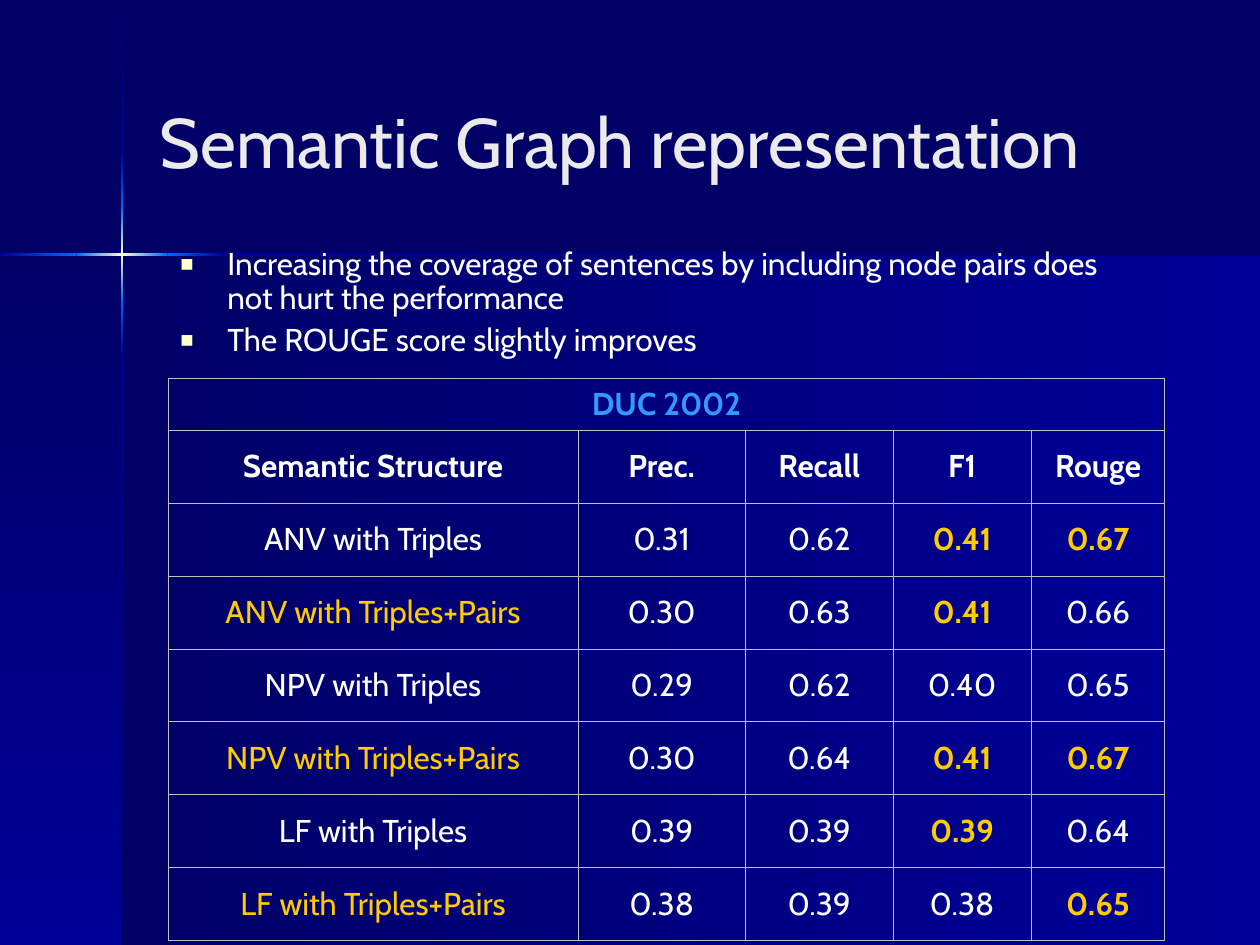
from lxml import etree
from pptx import Presentation
from pptx.dml.color import RGBColor
from pptx.enum.shapes import MSO_SHAPE
from pptx.enum.text import MSO_ANCHOR, MSO_AUTO_SIZE, PP_ALIGN
from pptx.oxml.ns import qn
from pptx.util import Cm, Pt

RECTANGLE = MSO_SHAPE.RECTANGLE
MIDDLE, TOP = MSO_ANCHOR.MIDDLE, MSO_ANCHOR.TOP
LEFT, CENTER = PP_ALIGN.LEFT, PP_ALIGN.CENTER
NO_AUTOFIT = MSO_AUTO_SIZE.NONE

COLORS = {
    "night": "000066", "royal": "000099", "azure": "0066FF", "glow": "FFFFCC",
    "title": "EAEAEA", "text": "FFFFFF", "heading": "3399FF", "accent": "FFCC00",
    "grid": "C0C0C0",
}
FONT = "Cabin"
PAGE_WIDTH, PAGE_HEIGHT = 25.4, 19.05
CROSS_X, CROSS_Y, BEAM_WIDTH = 2.46, 5.13, 0.05

TITLE = "Semantic Graph representation"
BULLETS = [
    "Increasing the coverage of sentences by including node pairs does "
    "not hurt the performance",
    "The ROUGE score slightly improves",
]
TABLE_TITLE = "DUC 2002"
HEADERS = ["Semantic Structure", "Prec.", "Recall", "F1", "Rouge"]
RESULTS = [
    ["ANV with Triples", "0.31", "0.62", "0.41", "0.67"],
    ["ANV with Triples+Pairs", "0.30", "0.63", "0.41", "0.66"],
    ["NPV with Triples", "0.29", "0.62", "0.40", "0.65"],
    ["NPV with Triples+Pairs", "0.30", "0.64", "0.41", "0.67"],
    ["LF with Triples", "0.39", "0.39", "0.39", "0.64"],
    ["LF with Triples+Pairs", "0.38", "0.39", "0.38", "0.65"],
]
COLUMN_WIDTHS = [8.26, 3.38, 2.97, 2.79, 2.69]
TITLE_ROW, ROW = 1.05, 1.47


def rgb(name):
    """Return the named palette colour."""
    return RGBColor.from_string(COLORS[name])


def add_color(parent, name):
    """Append a palette colour element to an XML parent."""
    etree.SubElement(parent, qn("a:srgbClr"), val=COLORS[name])


def set_attributes(target, values):
    """Set each attribute in a dict of format values."""
    for name, value in values.items():
        setattr(target, name, value)


def format_font(font, size, color, bold=False):
    """Apply the slide font with a size, colour and weight."""
    set_attributes(font, {"name": FONT, "size": Pt(size), "bold": bold})
    font.color.rgb = rgb(color)


def place(shape, box):
    """Move a shape to a box given in centimetres."""
    values = zip(("left", "top", "width", "height"), map(Cm, box))
    set_attributes(shape, dict(values))


def add_gradient(page, box, colors, angle):
    """Add a rectangle with evenly spaced gradient colours."""
    panel = page.shapes.add_shape(RECTANGLE, *map(Cm, box))
    panel.shadow.inherit = False
    panel.line.fill.background()
    panel.fill.gradient()
    gradient = panel.element.spPr.find(qn("a:gradFill"))
    stops = gradient.find(qn("a:gsLst"))
    for stop in list(stops):
        stops.remove(stop)
    for index, name in enumerate(colors):
        position = 100000 * index // (len(colors) - 1)
        add_color(etree.SubElement(stops, qn("a:gs"), pos=str(position)), name)
    gradient.find(qn("a:lin")).set("ang", str(angle * 60000))


def add_backdrop(page, box):
    """Add the two lower panels and the glowing cross."""
    left, top, width, height = box
    panel_height = height - CROSS_Y
    add_gradient(page, (left + CROSS_X, top + CROSS_Y, width - CROSS_X, panel_height),
                 ["night", "royal"], 0)
    add_gradient(page, (left, top + CROSS_Y, CROSS_X, panel_height),
                 ["night", "royal"], 90)
    segments = [["night", "royal"], ["royal", "azure"], ["azure", "glow", "azure"],
                ["azure", "royal"], ["royal", "night"]]
    rows = [0.03, 3.07, 4.19, 6.05, 7.16, height]
    for start, end, colors in zip(rows, rows[1:], segments):
        beam = (left + CROSS_X - BEAM_WIDTH / 2, top + start, BEAM_WIDTH, end - start)
        add_gradient(page, beam, colors, 90)
    columns = [0, 1.54, 3.38, 4.5, width]
    for start, end, colors in zip(columns, columns[1:], segments[1:]):
        beam = (left + start, top + CROSS_Y - BEAM_WIDTH / 2, end - start, BEAM_WIDTH)
        add_gradient(page, beam, colors, 0)


def fill_title(title, box):
    """Place and format the title placeholder."""
    place(title, box)
    frame = title.text_frame
    set_attributes(frame, {"text": TITLE, "word_wrap": True, "auto_size": NO_AUTOFIT,
                           "vertical_anchor": MIDDLE})
    para = frame.paragraphs[0]
    para.alignment = LEFT
    format_font(para.font, 40, "title")


def add_bullet(para):
    """Give a paragraph a small square bullet with a hanging indent."""
    properties = para._p.get_or_add_pPr()
    properties.set("marL", str(Cm(0.95)))
    properties.set("indent", str(-Cm(0.95)))
    add_color(etree.SubElement(properties, qn("a:buClr")), "glow")
    etree.SubElement(properties, qn("a:buSzPct"), val="70000")
    etree.SubElement(properties, qn("a:buChar"), char="■")


def fill_bullets(body, box):
    """Place the body placeholder and write its bullet list."""
    place(body, box)
    frame = body.text_frame
    set_attributes(frame, {"text": "\n".join(BULLETS), "word_wrap": True,
                           "auto_size": NO_AUTOFIT, "vertical_anchor": TOP})
    for index, para in enumerate(frame.paragraphs):
        add_bullet(para)
        set_attributes(para, {"alignment": LEFT, "line_spacing": 0.9,
                              "space_before": Pt(4.5 if index else 0)})
        format_font(para.font, 18, "text")


def format_cell(cell, text, color, bold):
    """Write a centred cell with thin borders and no fill."""
    set_attributes(cell, {"text": text, "vertical_anchor": MIDDLE,
                          "margin_left": Cm(0.03), "margin_right": Cm(0.03),
                          "margin_top": Cm(0.13), "margin_bottom": Cm(0.13)})
    para = cell.text_frame.paragraphs[0]
    para.alignment = CENTER
    format_font(para.font, 18, color, bold)
    properties = cell._tc.get_or_add_tcPr()
    for side in ("a:lnL", "a:lnR", "a:lnT", "a:lnB"):
        border = etree.SubElement(properties, qn(side), w=str(Pt(0.45)))
        add_color(etree.SubElement(border, qn("a:solidFill")), "grid")
    cell.fill.background()


def result_style(row, column):
    """Return colour and weight, marking the best F1 and Rouge of each pair."""
    if column == 0:
        return ("accent" if row % 2 else "text"), False
    pair = RESULTS[row - row % 2:][:2]
    best = column >= 3 and RESULTS[row][column] == max(line[column] for line in pair)
    return ("accent" if best else "text"), best


def add_results_table(page, box):
    """Add the table of results under a merged heading row."""
    rows = len(RESULTS) + 2
    table = page.shapes.add_table(rows, len(HEADERS), *map(Cm, box)).table
    set_attributes(table, {"first_row": False, "horz_banding": False})
    for column, width in zip(table.columns, COLUMN_WIDTHS):
        column.width = Cm(width)
    for index, row in enumerate(table.rows):
        row.height = Cm(ROW if index else TITLE_ROW)
    table.cell(0, 0).merge(table.cell(0, len(HEADERS) - 1))
    for column, header in enumerate(HEADERS):
        format_cell(table.cell(0, column), "" if column else TABLE_TITLE, "heading", True)
        format_cell(table.cell(1, column), header, "text", True)
        for row, line in enumerate(RESULTS):
            format_cell(table.cell(row + 2, column), line[column],
                        *result_style(row, column))


def build_results_slide(deck):
    """Build the slide with its backdrop, title, bullets and table."""
    page = deck.slides.add_slide(deck.slide_layouts[1])
    page.background.fill.solid()
    page.background.fill.fore_color.rgb = rgb("night")
    title, body = page.shapes.title, page.placeholders[1]
    add_backdrop(page, (0, 0, PAGE_WIDTH, PAGE_HEIGHT))
    for placeholder in (title, body):
        page.shapes.element.append(placeholder.element)
    fill_title(title, (2.97, 0.84, 20.96, 3.99))
    fill_bullets(body, (3.38, 4.88, 19.25, 2.54))
    add_results_table(page, (3.39, 7.62, sum(COLUMN_WIDTHS),
                             TITLE_ROW + ROW * (len(RESULTS) + 1)))


def main():
    """Create and save the deck."""
    deck = Presentation()
    set_attributes(deck, {"slide_width": Cm(PAGE_WIDTH), "slide_height": Cm(PAGE_HEIGHT)})
    build_results_slide(deck)
    deck.save("out.pptx")


if __name__ == "__main__":
    main()
